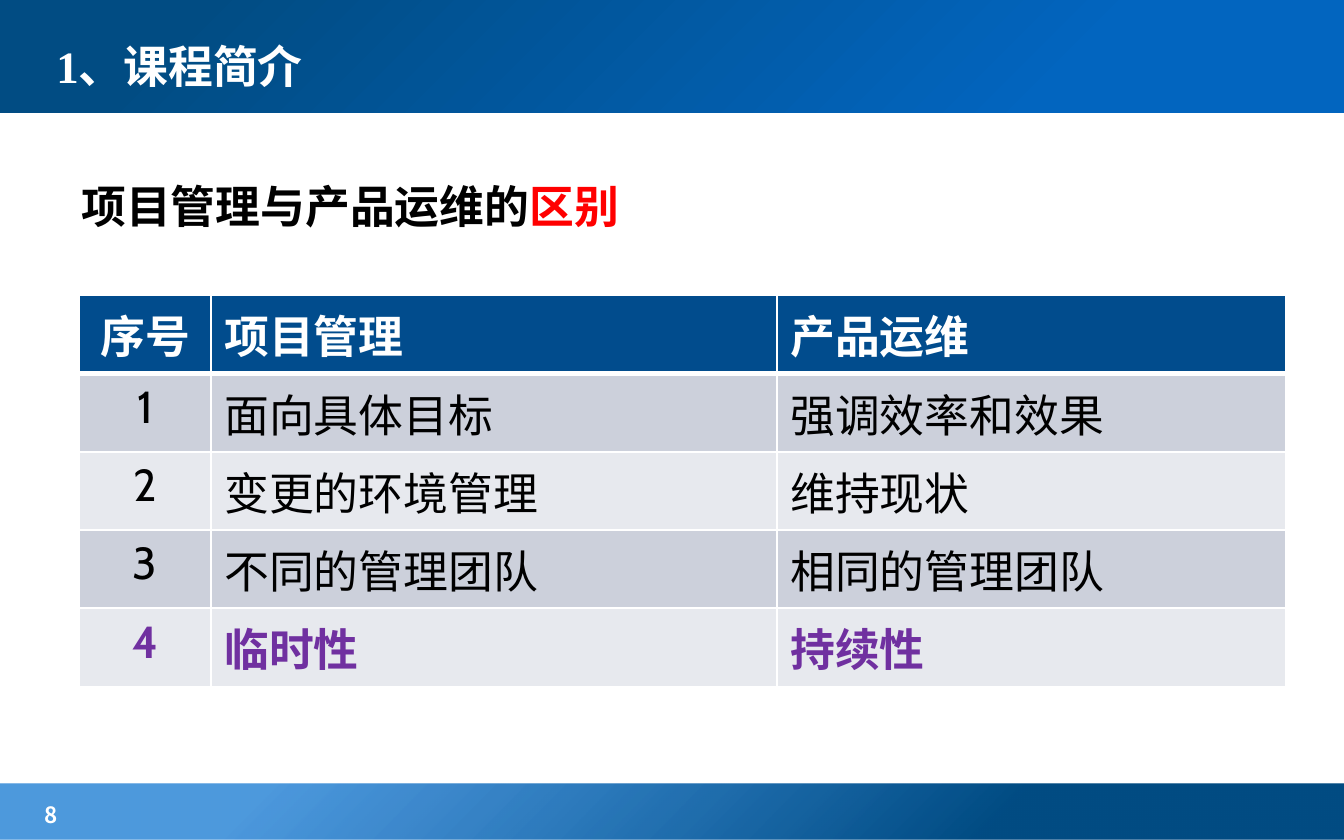
from lxml import etree
from pptx import Presentation
from pptx.dml.color import RGBColor
from pptx.enum import shapes, text
from pptx.oxml.ns import qn
from pptx.util import Pt

WIDE, HIGH = 720, 450
SERIF, SANS, CJK = "Times New Roman", "Cabin", "Noto Sans CJK SC"
WHITE, BLACK, RED, PURPLE = "FFFFFF", "000000", "FF0000", "7030A0"
HEAD, ODD, EVEN = "014C8D", "CCD0DB", "E7E9EE"
ROWS = [
    ("序号", "项目管理", "产品运维"),
    ("1", "面向具体目标", "强调效率和效果"),
    ("2", "变更的环境管理", "维持现状"),
    ("3", "不同的管理团队", "相同的管理团队"),
    ("4", "临时性", "持续性"),
]


def rgb(code):
    return RGBColor.from_string(code)


def style(font, name, size, color, bold=True):
    font.name, font.size, font.bold = name, Pt(size), bold
    font.color.rgb = rgb(color)


def place(shape, left, top, width, height):
    shape.left, shape.top = Pt(left), Pt(top)
    shape.width, shape.height = Pt(width), Pt(height)


def add_band(slide, top, height, stops):
    """Full-width bar with a round gradient centred on its lower right corner."""
    band = slide.shapes.add_shape(
        shapes.MSO_SHAPE.RECTANGLE, 0, Pt(top), Pt(WIDE), Pt(height))
    band.shadow.inherit = False
    band.line.fill.background()
    band.fill.gradient()
    for stop, (pos, color, alpha) in zip(band.fill.gradient_stops, stops):
        stop.position = pos / 100
        stop.color.rgb = rgb(color)
        if alpha < 100:
            tint = stop._gs.find(qn("a:srgbClr"))
            etree.SubElement(tint, qn("a:alpha"), val=str(alpha * 1000))
    grad = band._element.spPr.find(qn("a:gradFill"))
    grad.remove(grad.find(qn("a:lin")))
    ring = etree.SubElement(grad, qn("a:path"))
    ring.set("path", "circle")
    etree.SubElement(ring, qn("a:fillToRect"), l="100000", t="100000")


def add_title(slide, words):
    title = slide.shapes.title
    place(title, 23, 9.5, 524, 51)
    slide.shapes._spTree.append(title._element)  # bring above the band
    frame = title.text_frame
    frame.text = words
    frame.vertical_anchor = text.MSO_ANCHOR.MIDDLE
    para = frame.paragraphs[0]
    para.alignment = text.PP_ALIGN.LEFT
    style(para.font, SERIF, 24, WHITE)


def add_text(slide, box, parts, name, size, gap=1.0):
    """Text box with one paragraph of (words, colour) parts."""
    frame = slide.shapes.add_textbox(*map(Pt, box)).text_frame
    frame.word_wrap = True
    para = frame.paragraphs[0]
    para.line_spacing = gap
    for words, color in parts:
        run = para.add_run()
        run.text = words
        style(run.font, name, size, color)


def set_edges(cell, top, bottom):
    """White cell borders; the side ones are 1 pt. They go before the fill."""
    props = cell._tc.get_or_add_tcPr()
    edges = (("L", 1), ("R", 1), ("T", top), ("B", bottom))
    for i, (side, width) in enumerate(edges):
        line = etree.Element(qn("a:ln" + side), w=str(Pt(width)))
        fill = etree.SubElement(line, qn("a:solidFill"))
        etree.SubElement(fill, qn("a:srgbClr"), val=WHITE)
        props.insert(i, line)


def add_grid(slide, left, top, widths, high, rows):
    grid = slide.shapes.add_table(
        len(rows), len(widths), Pt(left), Pt(top),
        Pt(sum(widths)), Pt(high * len(rows))).table
    for col, width in zip(grid.columns, widths):
        col.width = Pt(width)
    last = len(rows) - 1
    for r, row in enumerate(rows):
        grid.rows[r].height = Pt(high)
        fill = HEAD if r == 0 else ODD if r % 2 else EVEN
        color = {0: WHITE, last: PURPLE}.get(r, BLACK)
        for c, words in enumerate(row):
            cell = grid.cell(r, c)
            cell.fill.solid()
            cell.fill.fore_color.rgb = rgb(fill)
            set_edges(cell, 3 if r == 1 else 1, 3 if r == 0 else 1)
            para = cell.text_frame.paragraphs[0]
            para.alignment = text.PP_ALIGN.LEFT if c else text.PP_ALIGN.CENTER
            run = para.add_run()
            run.text = words
            style(run.font, SANS, 24, color, r in (0, last))


def main():
    deck = Presentation()
    deck.slide_width, deck.slide_height = Pt(WIDE), Pt(HIGH)
    slide = deck.slides.add_slide(deck.slide_layouts[5])

    # Footer and header bands
    add_band(slide, 420, 30, [(26, "014C83", 100), (80, "026DCE", 70)])
    add_band(slide, -2, 62.5, [(21, "0265BF", 100), (86, "014C83", 100)])

    # Page number, title and heading
    add_text(slide, (17, 425.5, 113, 19), [("8", WHITE)], CJK, 12)
    add_title(slide, "1、课程简介")
    add_text(slide, (36.5, 78, 646.5, 281),
             [("项目管理与产品运维的", BLACK), ("区别", RED)], SERIF, 24, 1.5)

    # Comparison table
    add_grid(slide, 42.5, 158.2, (70.5, 303.2, 272.8), 41.9, ROWS)
    deck.save("out.pptx")


if __name__ == "__main__":
    main()
